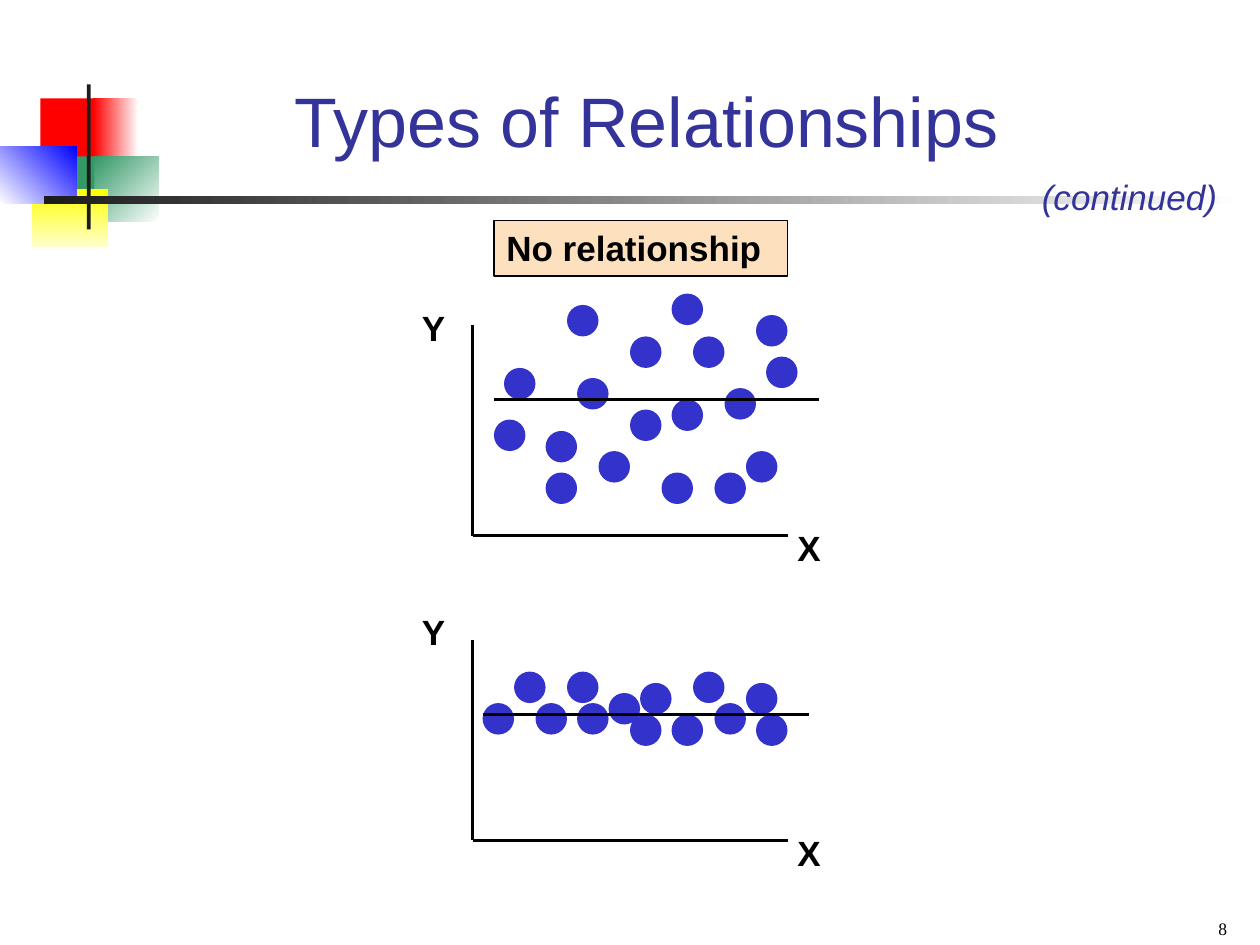
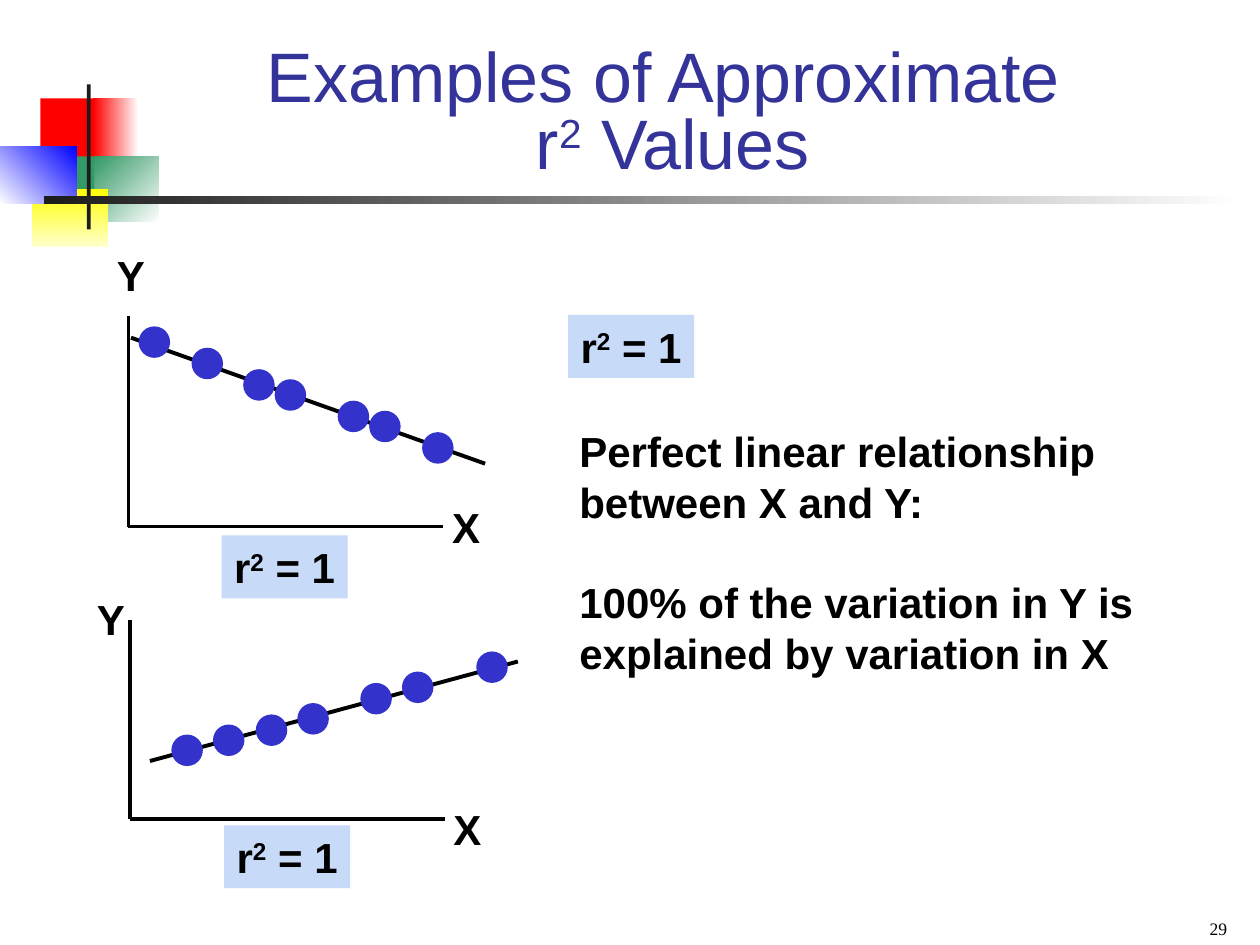
from lxml.etree import SubElement
from pptx import Presentation
from pptx.dml.color import RGBColor
from pptx.enum.shapes import MSO_CONNECTOR, MSO_SHAPE
from pptx.enum.text import MSO_ANCHOR, MSO_AUTO_SIZE, PP_ALIGN
from pptx.oxml.ns import qn
from pptx.util import Inches, Pt

COLOURS = {
    "title": "333399", "text": "000000", "dot": "3333CC",
    "peach": "FDE0BD", "pale_blue": "C7DAF7", "white": "FFFFFF",
    "red": "FF0000", "green": "339966", "yellow": "FFFF00",
    "pale_yellow": "FFFFCC", "blue": "0000FF", "charcoal": "1C1C1C",
}
TEXT_STYLES = {
    "title": ("title", {"name": "Arial", "size": Pt(40)}),
    "continued": ("title", {"name": "Arial", "size": Pt(20), "italic": True}),
    "small": ("text", {"name": "Arial", "size": Pt(20), "bold": True}),
    "large": ("text", {"name": "Arial", "size": Pt(24), "bold": True}),
    "number": ("text", {"name": "Times New Roman", "size": Pt(10)}),
}
BAND_PARTS = [
    ((0.32, 0.78, 0.48, 0.52), ("red",), 0),
    ((0.74, 0.78, 0.36, 0.52), ("white", "red"), 180),
    ((0.75, 1.24, 0.51, 0.52), ("white", "green"), 135),
    ((0.43, 1.24, 0.32, 0.52), ("green",), 0),
    ((0.25, 1.5, 0.61, 0.46), ("yellow", "pale_yellow"), 270),
    ((0, 1.16, 0.61, 0.46), ("blue", "white"), 225),
    ((0.69, 0.67, 0.03, 1.15), ("charcoal",), 0),
    ((0.35, 1.56, 9.51, 0.06), ("white", "charcoal"), 180),
]
DOT_SIZE = 0.25
AXIS_LENGTH = 2.5
R_SQUARED = ["r", "^2", " = 1"]

WIDE_SCATTER = [
    (5.33, 2.33), (3.92, 3.33), (5.92, 3.58), (6.08, 2.83), (4.33, 3.75),
    (4.5, 2.42), (5.33, 3.17), (5.5, 2.67), (6, 2.5), (5, 2.67),
    (4.33, 3.42), (4.58, 3), (5.67, 3.75), (5, 3.25), (4.75, 3.58),
    (4, 2.92), (5.25, 3.75), (5.75, 3.08),
]
FLAT_SCATTER = [
    (6, 5.67), (4.25, 5.58), (5.92, 5.42), (4.5, 5.33), (5.5, 5.33),
    (5.67, 5.58), (4.83, 5.5), (3.83, 5.58), (4.08, 5.33), (4.58, 5.58),
    (5.33, 5.67), (5.08, 5.42), (5, 5.67),
]
FALLING_DOTS = [
    (3.35, 3.43), (2.68, 3.18), (2.18, 3.01), (1.1, 2.59),
    (1.52, 2.76), (1.93, 2.93), (2.93, 3.26),
]
RISING_DOTS = [
    (1.36, 5.83), (1.69, 5.75), (2.03, 5.67), (2.36, 5.58),
    (2.86, 5.42), (3.19, 5.33), (3.78, 5.17),
]


def rgb(colour):
    return RGBColor.from_string(COLOURS[colour])


def inches(values):
    return [Inches(value) for value in values]


def format_font(font, style):
    colour, values = TEXT_STYLES[style]
    for name, value in values.items():
        setattr(font, name, value)
    font.color.rgb = rgb(colour)


def set_frame(frame, wrap, anchor=MSO_ANCHOR.TOP, side=0.1):
    values = {
        "auto_size": MSO_AUTO_SIZE.NONE, "word_wrap": wrap,
        "vertical_anchor": anchor,
        "margin_left": Inches(side), "margin_right": Inches(side),
        "margin_top": Inches(0.05), "margin_bottom": Inches(0.05),
    }
    for name, value in values.items():
        setattr(frame, name, value)


def write(para, parts, style, align=PP_ALIGN.LEFT):
    para.alignment = align
    for part in parts:
        if part == "\n":
            para.add_line_break()
            continue
        span = para.add_run()
        span.text = part.removeprefix("^")
        format_font(span.font, style)
        if part.startswith("^"):
            span.font._element.set("baseline", "30000")


def add_block(page, kind, place, colours, angle=0):
    block = page.shapes.add_shape(kind, *inches(place))
    block.shadow.inherit = False
    block.line.fill.background()
    if len(colours) == 1:
        block.fill.solid()
        block.fill.fore_color.rgb = rgb(colours[0])
    else:
        block.fill.gradient()
        block.fill.gradient_angle = angle
        for stop, colour in zip(block.fill.gradient_stops, colours):
            stop.color.rgb = rgb(colour)
    return block


def add_line(page, start, end, width):
    line = page.shapes.add_connector(
        MSO_CONNECTOR.STRAIGHT, *inches(start), *inches(end))
    line.line.color.rgb = rgb("text")
    line.line.width = Pt(width)
    SubElement(line._element.spPr, qn("a:effectLst"))


def add_text(page, place, paragraphs, style, wrap=False, gap=0):
    box = page.shapes.add_textbox(*inches(place))
    frame = box.text_frame
    set_frame(frame, wrap)
    for index, words in enumerate(paragraphs):
        para = frame.add_paragraph() if index else frame.paragraphs[0]
        if index:
            para.space_before = Pt(gap)
        write(para, [words], style)


def add_tag(page, place, parts, style, colour, outlined=False):
    tag = add_block(page, MSO_SHAPE.RECTANGLE, place, [colour])
    if outlined:
        tag.line.color.rgb = rgb("text")
        tag.line.width = Pt(1)
    set_frame(tag.text_frame, wrap=outlined)
    write(tag.text_frame.paragraphs[0], parts, style)


def add_dots(page, dots):
    for left, top in dots:
        add_block(page, MSO_SHAPE.OVAL, (left, top, DOT_SIZE, DOT_SIZE), ["dot"])


def add_axes(page, origin, top, y_label, x_label, style):
    left, bottom = origin
    add_line(page, (left, top), origin, 2)
    add_line(page, origin, (left + AXIS_LENGTH, bottom), 2)
    size = (0.38, 0.44) if style == "small" else (0.42, 0.5)
    for name, corner in (("Y", y_label), ("X", x_label)):
        add_text(page, (*corner, *size), [name], style)


def add_page(deck, title_place, title_parts, number, spacing=1.0):
    page = deck.slides.add_slide(deck.slide_layouts[5])
    for place, colours, angle in BAND_PARTS:
        add_block(page, MSO_SHAPE.RECTANGLE, place, colours, angle)
    title = page.shapes.title
    title.left, title.top, title.width, title.height = inches(title_place)
    set_frame(title.text_frame, True, MSO_ANCHOR.BOTTOM, 0.09)
    para = title.text_frame.paragraphs[0]
    para.line_spacing = spacing
    write(para, title_parts, "title", PP_ALIGN.CENTER)
    footer = page.shapes.add_textbox(*inches((7.5, 7.15, 2.33, 0.35)))
    set_frame(footer.text_frame, True, MSO_ANCHOR.BOTTOM, 0.09)
    write(footer.text_frame.paragraphs[0], [number], "number", PP_ALIGN.RIGHT)
    return page


def build_no_relationship(deck):
    page = add_page(deck, (1.26, 0.25, 7.74, 1.08),
                    ["Types of Relationships"], "8")
    add_text(page, (8.17, 1.34, 1.59, 0.44), ["(continued)"], "continued")
    add_tag(page, (3.92, 1.75, 2.33, 0.44), ["No relationship"],
            "small", "peach", outlined=True)

    add_axes(page, (3.75, 4.25), 2.58, (3.25, 2.38), (6.23, 4.13), "small")
    add_dots(page, WIDE_SCATTER)
    add_line(page, (3.92, 3.17), (6.5, 3.17), 1.5)

    add_axes(page, (3.75, 6.67), 5.08, (3.25, 4.8), (6.23, 6.55), "small")
    add_dots(page, FLAT_SCATTER)
    add_line(page, (3.83, 5.67), (6.42, 5.67), 1.5)


def build_perfect_fit(deck):
    page = add_page(deck, (1.08, 0.33, 8.52, 1.17),
                    ["Examples of Approximate ", "\n", "r", "^2", " Values"],
                    "29", spacing=0.8)

    add_axes(page, (1.02, 4.18), 2.51, (0.83, 1.93), (3.49, 3.93), "large")
    add_line(page, (3.85, 3.68), (1.04, 2.68), 2.25)
    add_dots(page, FALLING_DOTS)

    add_axes(page, (1.03, 6.5), 4.92, (0.67, 4.66), (3.5, 6.33), "large")
    add_line(page, (1.19, 6.04), (4.11, 5.25), 2.25)
    add_dots(page, RISING_DOTS)

    for left, top in ((1.76, 4.25), (1.78, 6.55), (4.51, 2.5)):
        add_tag(page, (left, top, 1, 0.5), R_SQUARED, "large", "pale_blue")
    add_text(page, (4.5, 3.33, 4.83, 2.1),
             ["Perfect linear relationship between X and Y:",
              "100% of the variation in Y is explained by variation in X"],
             "large", wrap=True, gap=28.8)


def main():
    deck = Presentation()
    deck.slide_width, deck.slide_height = Inches(10), Inches(7.5)
    build_no_relationship(deck)
    build_perfect_fit(deck)
    deck.save("out.pptx")


if __name__ == "__main__":
    main()
